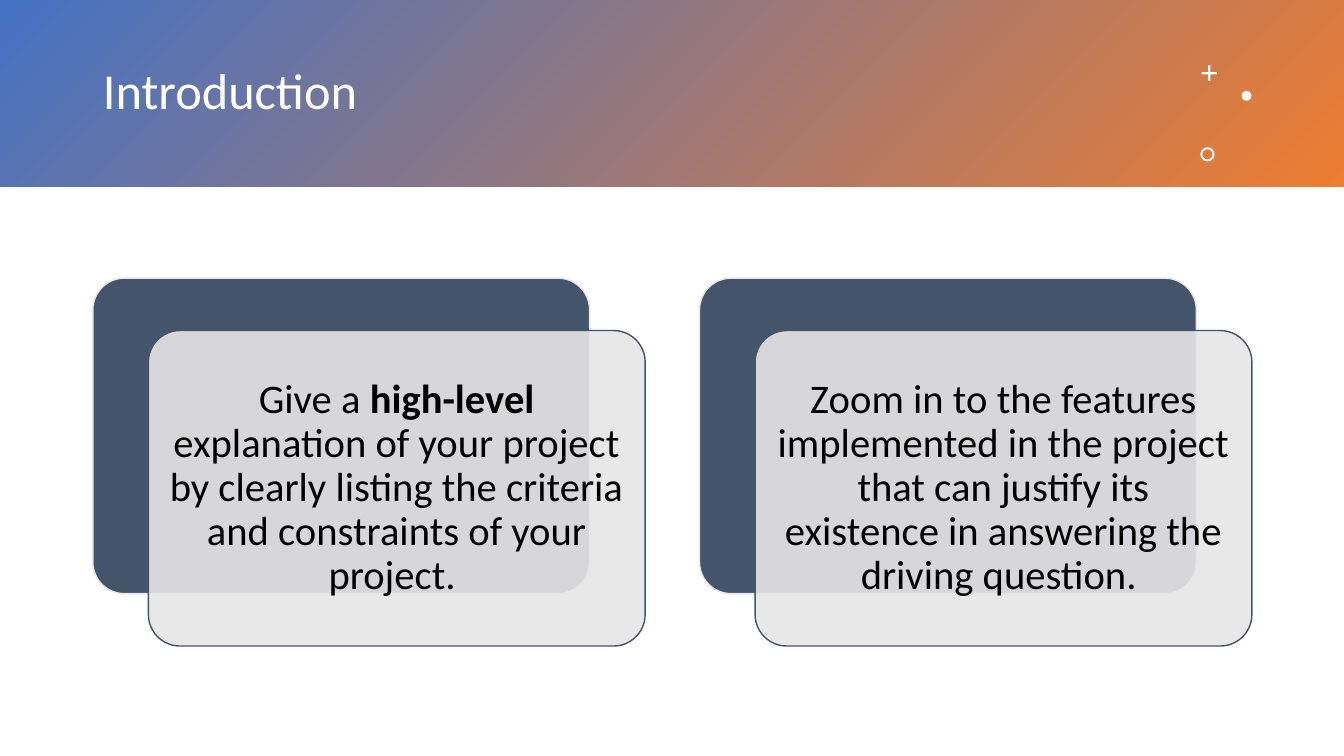
from lxml import etree
from pptx import Presentation
from pptx.dml.color import RGBColor
from pptx.enum.shapes import MSO_SHAPE
from pptx.enum.text import MSO_ANCHOR, MSO_AUTO_SIZE, PP_ALIGN
from pptx.oxml.ns import qn
from pptx.util import Cm, Pt

RECTANGLE = MSO_SHAPE.RECTANGLE
ROUNDED = MSO_SHAPE.ROUNDED_RECTANGLE
CROSS, OVAL, DONUT = MSO_SHAPE.CROSS, MSO_SHAPE.OVAL, MSO_SHAPE.DONUT
MIDDLE = MSO_ANCHOR.MIDDLE
LEFT, CENTER = PP_ALIGN.LEFT, PP_ALIGN.CENTER
NO_AUTOSIZE = MSO_AUTO_SIZE.NONE
TITLE_ONLY = 5

SLIDE_WIDTH, SLIDE_HEIGHT = 33.87, 19.05
CARD_WIDTH, CARD_HEIGHT = 12.52, 7.95
CARD_LEFT, CARD_TOP, CARD_PITCH = 2.34, 7.01, 15.29
FRONT_SHIFT_X, FRONT_SHIFT_Y = 1.4, 1.32
TEXT_MARGIN = 0.23


def color(hex_string):
    return RGBColor.from_string(hex_string)


class SlideBuilder:
    font = "Calibri"
    white, black = "FFFFFF", "000000"
    slate, silver = "44546A", "E7E6E6"
    blue, orange = "4472C4", "ED7D31"

    def __init__(self, slide):
        self.slide = slide

    def shape(self, kind, left, top, width, height, fill, line=None,
              adjustment=None, opacity=None):
        shape = self.slide.shapes.add_shape(
            kind, Cm(left), Cm(top), Cm(width), Cm(height))
        shape.shadow.inherit = False
        shape.fill.solid()
        shape.fill.fore_color.rgb = color(fill)
        if line:
            shape.line.color.rgb = color(line)
            shape.line.width = Pt(1)
        else:
            shape.line.fill.background()
        if adjustment is not None:
            shape.adjustments[0] = adjustment
        if opacity is not None:
            fill_color = shape._element.spPr.find(
                qn("a:solidFill") + "/" + qn("a:srgbClr"))
            alpha = etree.SubElement(fill_color, qn("a:alpha"))
            alpha.set("val", str(opacity * 1000))
        return shape

    def band(self, height):
        band = self.shape(RECTANGLE, 0, 0, SLIDE_WIDTH, height, self.blue)
        band.fill.gradient()
        band.fill.gradient_angle = 315
        for stop, shade in zip(band.fill.gradient_stops,
                               (self.blue, self.orange)):
            stop.color.rgb = color(shade)
        # Keep the title in front of the band
        self.slide.shapes.title._element.addprevious(band._element)

    def format_text(self, text_frame, size, shade, alignment):
        text_frame.word_wrap = True
        text_frame.auto_size = NO_AUTOSIZE
        text_frame.vertical_anchor = MIDDLE
        for paragraph in text_frame.paragraphs:
            paragraph.alignment = alignment
            paragraph.line_spacing = 0.9
            for run in paragraph.runs:
                run.font.name = self.font
                run.font.size = Pt(size)
                run.font.color.rgb = color(shade)

    def title(self, text, left, top, width, height):
        title = self.slide.shapes.title
        title.left, title.top = Cm(left), Cm(top)
        title.width, title.height = Cm(width), Cm(height)
        title.text_frame.text = text
        self.format_text(title.text_frame, 36, self.white, LEFT)

    def text(self, runs, left, top, width, height):
        box = self.slide.shapes.add_textbox(
            Cm(left), Cm(top), Cm(width), Cm(height))
        frame = box.text_frame
        frame.margin_left = frame.margin_right = Cm(0.3)
        frame.margin_top = frame.margin_bottom = Cm(0.3)
        for words, bold in runs:
            run = frame.paragraphs[0].add_run()
            run.text = words
            run.font.bold = bold
        self.format_text(frame, 29, self.black, CENTER)

    def card(self, runs, left, top):
        self.shape(ROUNDED, left, top, CARD_WIDTH, CARD_HEIGHT,
                   self.slate, self.silver, 0.1)
        left, top = left + FRONT_SHIFT_X, top + FRONT_SHIFT_Y
        self.shape(ROUNDED, left, top, CARD_WIDTH, CARD_HEIGHT,
                   self.silver, self.slate, 0.1, opacity=90)
        self.text(runs, left + TEXT_MARGIN, top + TEXT_MARGIN,
                  CARD_WIDTH - 2 * TEXT_MARGIN, CARD_HEIGHT - 2 * TEXT_MARGIN)


def main():
    presentation = Presentation()
    presentation.slide_width = Cm(SLIDE_WIDTH)
    presentation.slide_height = Cm(SLIDE_HEIGHT)
    layout = presentation.slide_layouts[TITLE_ONLY]
    builder = SlideBuilder(presentation.slides.add_slide(layout))

    # Header
    builder.band(4.7)
    builder.title("Introduction", 2.34, 0.84, 28.57, 3.02)

    # Header ornaments
    ornaments = [
        (CROSS, 30.28, 1.65, 0.39, 0.43),
        (OVAL, 31.29, 2.29, 0.25, None),
        (DONUT, 30.25, 3.71, 0.36, 0.14),
    ]
    for kind, left, top, size, adjustment in ornaments:
        builder.shape(kind, left, top, size, size, builder.white,
                      adjustment=adjustment)

    # Cards
    cards = [
        [("Give a ", False), ("high-level", True),
         (" explanation of your project by clearly listing the criteria "
          "and constraints of your project. ", False)],
        [("Zoom in to the features implemented in the project that can "
          "justify its existence in answering the driving question. ",
          False)],
    ]
    for index, runs in enumerate(cards):
        builder.card(runs, CARD_LEFT + index * CARD_PITCH, CARD_TOP)

    presentation.save("out.pptx")


if __name__ == "__main__":
    main()
